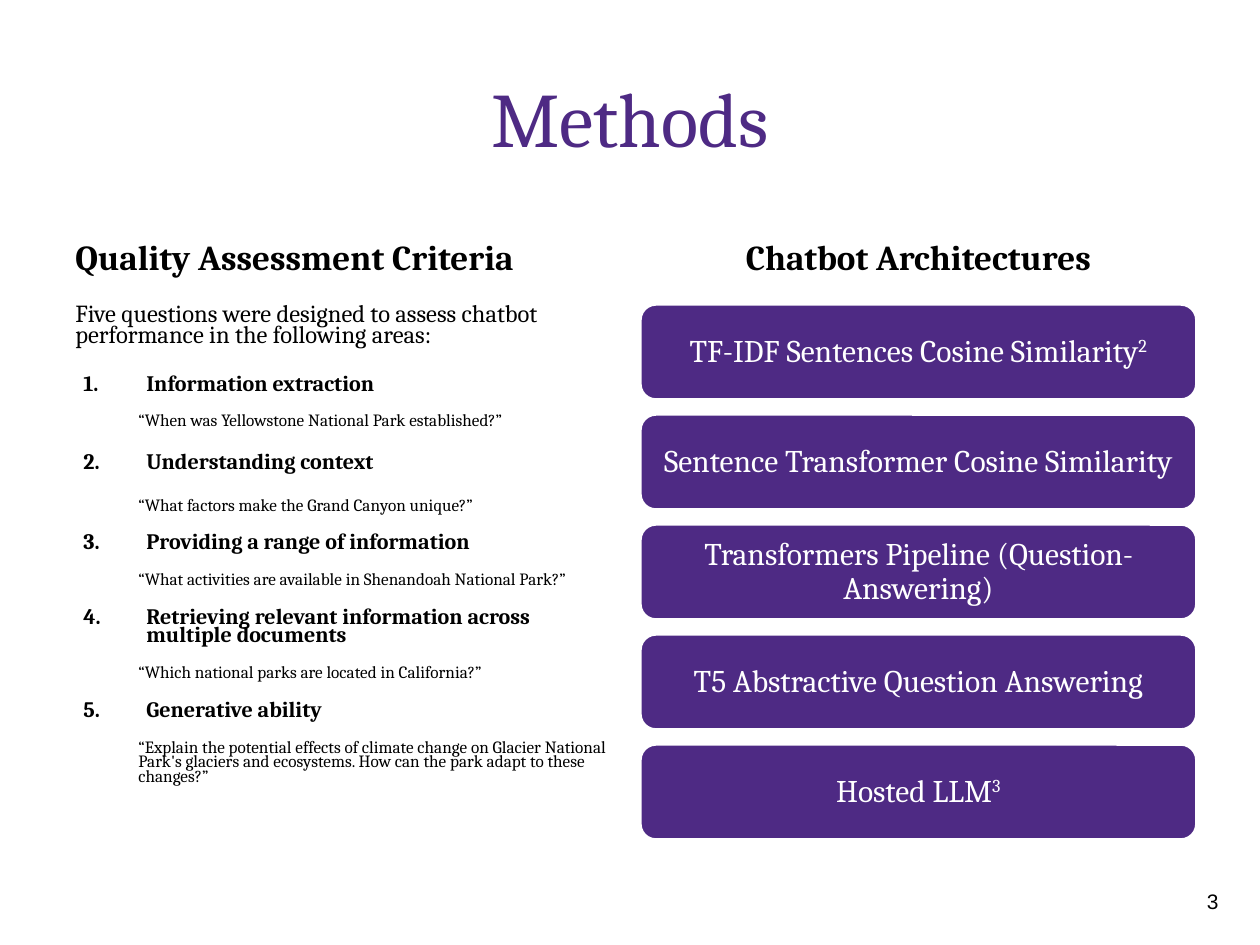
import pptx
import pptx.util
import pptx.dml.color
import pptx.enum.shapes
import pptx.enum.text
import pptx.oxml.ns
import lxml.etree

PX = 914400 // 126
PURPLE, BLACK, WHITE = "4E2A84", "000000", "FFFFFF"
ALIGN = pptx.enum.text.PP_ALIGN
MID = pptx.enum.text.MSO_ANCHOR.MIDDLE
TOP = pptx.enum.text.MSO_ANCHOR.TOP

INTRO = "Five questions were designed to assess chatbot performance in the following areas:"
AREAS = [
    ("Information extraction", 16.5,
     "“When was Yellowstone National Park established?”", 11.7),
    ("Understanding context", 14,
     "“What factors make the Grand Canyon unique?”", 15.4),
    ("Providing a range of information", 11.7,
     "“What activities are available in Shenandoah National Park?”", 11.7),
    ("Retrieving relevant information across multiple documents", 12.2,
     "“Which national parks are located in California?”", 11.7),
    ("Generative ability", 12.2,
     "“Explain the potential effects of climate change on Glacier National Park's "
     "glaciers and ecosystems. How can the park adapt to these changes?”", 11.7),
]
MODELS = [
    ("TF-IDF Sentences Cosine Similarity", "2"),
    ("Sentence Transformer Cosine Similarity", ""),
    ("Transformers Pipeline (Question-Answering)", ""),
    ("T5 Abstractive Question Answering", ""),
    ("Hosted LLM", "3"),
]
HEADS = [
    ("Quality Assessment Criteria", 63, ALIGN.LEFT),
    ("Chatbot Architectures", 640, ALIGN.CENTER),
]
COL = 557
BOX_TOP, BOX_H, PITCH = 304, 96, 110


def px(n):
    return pptx.util.Emu(n * PX)


def color(code):
    return pptx.dml.color.RGBColor.from_string(code)


def style(item, **vals):
    for key, val in vals.items():
        setattr(item, key, val)


def write(para, text, size, code=BLACK, bold=False, face="Cambria"):
    run = para.add_run()
    run.text = text
    style(run.font, size=pptx.util.Pt(size), bold=bold, name=face)
    run.font.color.rgb = color(code)
    return run


def indent(para, left, hang=0, start=None):
    props = para._p.get_or_add_pPr()
    props.set("marL", str(px(left)))
    props.set("indent", str(px(hang)))
    if start:
        lxml.etree.SubElement(props, pptx.oxml.ns.qn("a:buAutoNum"),
                              type="arabicPeriod", startAt=str(start))


def frame(shape, anchor=MID, align=ALIGN.LEFT):
    style(shape.text_frame, word_wrap=True, vertical_anchor=anchor)
    para = shape.text_frame.paragraphs[0]
    para.alignment = align
    return para


def label(slide, rect, anchor=MID, align=ALIGN.LEFT):
    box = slide.shapes.add_textbox(*map(px, rect))
    return box, frame(box, anchor, align)


def list_areas(slide):
    box, para = label(slide, (63, 300, COL, 544), TOP)
    para.line_spacing = 0.7
    write(para, INTRO, 14)
    for num, (area, gap, query, drop) in enumerate(AREAS, 1):
        para = box.text_frame.add_paragraph()
        indent(para, 71, -63, num)
        style(para, line_spacing=0.7, space_before=pptx.util.Pt(gap))
        write(para, area, 12.6, bold=True)
        para = box.text_frame.add_paragraph()
        indent(para, 63)
        style(para, line_spacing=0.7, space_before=pptx.util.Pt(drop))
        write(para, query, 9.8)


def draw_models(slide):
    kind = pptx.enum.shapes.MSO_SHAPE.ROUNDED_RECTANGLE
    for row, (name, note) in enumerate(MODELS):
        rect = (640, BOX_TOP + row * PITCH, COL, BOX_H)
        box = slide.shapes.add_shape(kind, *map(px, rect))
        box.shadow.inherit = False
        box.fill.solid()
        box.fill.fore_color.rgb = color(PURPLE)
        box.line.color.rgb = color(WHITE)
        box.line.width = pptx.util.Pt(2)
        style(box.text_frame, margin_left=px(10), margin_right=px(10))
        para = frame(box, align=ALIGN.CENTER)
        para.line_spacing = 0.9
        write(para, name, 18, WHITE)
        if note:
            run = write(para, note, 18, WHITE)
            run._r.get_or_add_rPr().set("baseline", "30000")


def main():
    deck = pptx.Presentation()
    style(deck, slide_width=px(1260), slide_height=px(945))
    slide = deck.slides.add_slide(deck.slide_layouts[5])
    title = slide.shapes.title
    style(title, left=px(63), top=px(38), width=px(1134), height=px(158))
    write(frame(title, align=ALIGN.CENTER), "Methods", 44, PURPLE)
    for text, left, align in HEADS:
        box, para = label(slide, (left, 212, COL, 88), align=align)
        write(para, text, 20, bold=True)
    list_areas(slide)
    draw_models(slide)
    box, para = label(slide, (1149, 876, 82, 50), align=ALIGN.RIGHT)
    write(para, "3", 12, face="Arial")
    deck.save("out.pptx")


if __name__ == "__main__":
    main()
